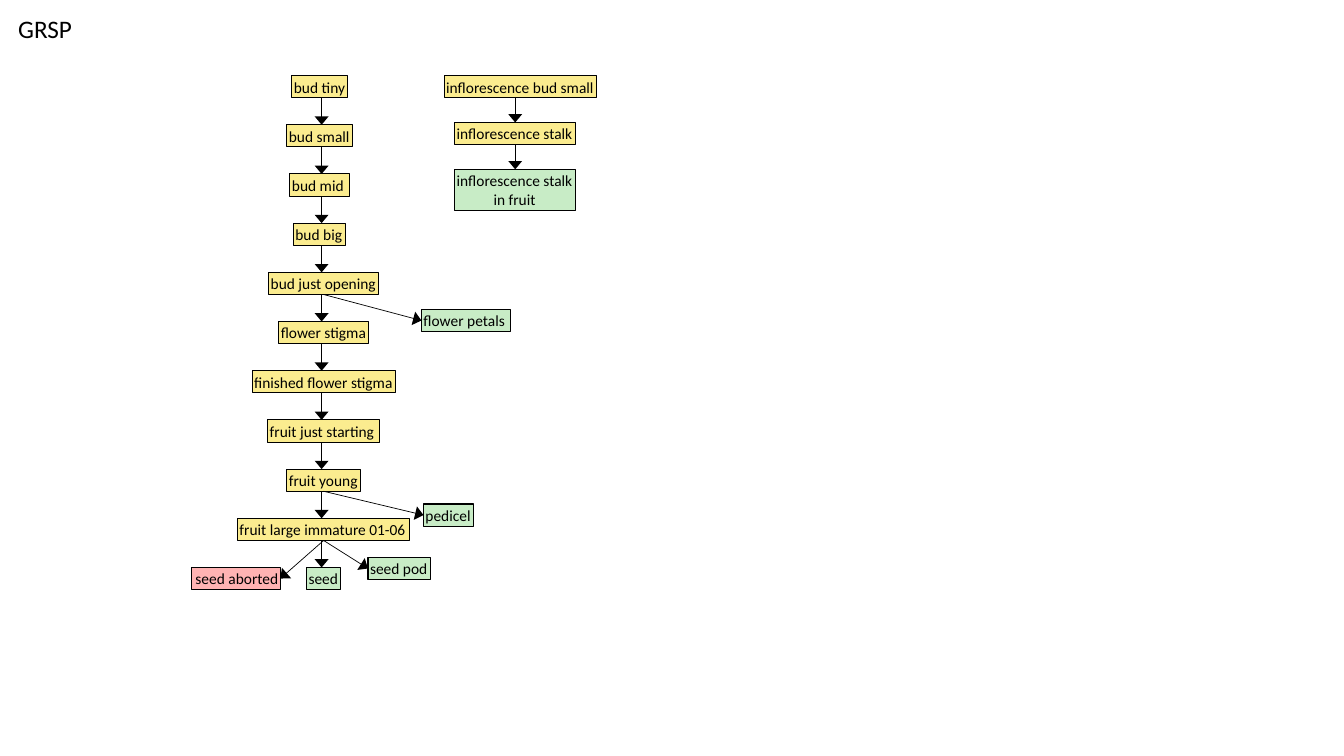
from itertools import pairwise
from lxml.etree import SubElement
from pptx import Presentation
from pptx.dml.color import RGBColor
from pptx.enum.shapes import MSO_CONNECTOR, MSO_SHAPE
from pptx.enum.text import MSO_ANCHOR, MSO_AUTO_SIZE, PP_ALIGN
from pptx.oxml.ns import qn
from pptx.util import Inches, Pt

FONT = "Calibri"
BLACK, YELLOW, GREEN, RED = "000000", "FBEC8F", "C8ECC6", "FFB3B3"
TOP, BOX_HEIGHT = 0.75, 0.22
STAGE_PITCH, STALK_PITCH = 0.488, 0.465
STAGE_AXIS, BRANCH_START, STALK_AXIS = 3.19, 3.21, 5.11
BUD_CENTRE, FLOWER_CENTRE = 3.17, 3.21

STAGES = [
    ("bud tiny", BUD_CENTRE, 0.55, YELLOW),
    ("bud small", BUD_CENTRE, 0.65, YELLOW),
    ("bud mid", BUD_CENTRE, 0.59, YELLOW),
    ("bud big", BUD_CENTRE, 0.52, YELLOW),
    ("bud just opening", FLOWER_CENTRE, 1.09, YELLOW),
    ("flower stigma", FLOWER_CENTRE, 0.89, YELLOW),
    ("finished flower stigma", FLOWER_CENTRE, 1.42, YELLOW),
    ("fruit just starting", FLOWER_CENTRE, 1.11, YELLOW),
    ("fruit young", FLOWER_CENTRE, 0.73, YELLOW),
    ("fruit large immature 01-06", FLOWER_CENTRE, 1.71, YELLOW),
    ("seed", FLOWER_CENTRE, 0.34, GREEN),
]
STALKS = [
    ("inflorescence bud small", 5.16, 1.51, YELLOW),
    ("inflorescence stalk", STALK_AXIS, 1.2, YELLOW),
    ("inflorescence stalk\nin fruit", STALK_AXIS, 1.2, GREEN),
]
BRANCHES = [
    (4, "flower petals", 4.18, 3.07, 0.88, GREEN),
    (8, "pedicel", 4.2, 5, 0.5, GREEN),
    (9, "seed pod", 3.65, 5.53, 0.62, GREEN),
    (9, "seed aborted", 1.9, 5.63, 0.88, RED),
]


def colour(code):
    return RGBColor.from_string(code)


def format_text(frame, size):
    for para in frame.paragraphs:
        for span in para.runs:
            span.font.name = FONT
            span.font.size = Pt(size)
            span.font.color.rgb = colour(BLACK)


def add_title(page, text):
    title = page.shapes.title
    title.left, title.top = Inches(0.08), Inches(0.08)
    title.width, title.height = Inches(0.74), Inches(0.4)
    frame = title.text_frame
    frame.text = text
    frame.word_wrap = False
    frame.auto_size = MSO_AUTO_SIZE.SHAPE_TO_FIT_TEXT
    frame.vertical_anchor = MSO_ANCHOR.TOP
    frame.paragraphs[0].alignment = PP_ALIGN.LEFT
    format_text(frame, 18)


def add_box(page, text, left, top, width, fill):
    lines = text.split("\n")
    height = BOX_HEIGHT + 0.19 * (len(lines) - 1)
    box = page.shapes.add_shape(
        MSO_SHAPE.RECTANGLE, Inches(left), Inches(top), Inches(width), Inches(height))
    box.shadow.inherit = False
    box.fill.solid()
    box.fill.fore_color.rgb = colour(fill)
    box.line.color.rgb = colour(BLACK)
    box.line.width = Pt(0.75)
    frame = box.text_frame
    frame.text = text
    frame.word_wrap = False
    frame.auto_size = MSO_AUTO_SIZE.SHAPE_TO_FIT_TEXT
    frame.vertical_anchor = MSO_ANCHOR.TOP
    frame.margin_left = frame.margin_top = frame.margin_bottom = Inches(0.02)
    frame.margin_right = 0
    for para in frame.paragraphs:
        para.alignment = PP_ALIGN.LEFT
    if len(lines) > 1 or fill == RED:
        frame.paragraphs[-1].alignment = PP_ALIGN.CENTER
    format_text(frame, 11)


def add_arrow(page, start, end):
    arrow = page.shapes.add_connector(
        MSO_CONNECTOR.STRAIGHT, *[Inches(value) for value in (*start, *end)])
    arrow.line.color.rgb = colour(BLACK)
    arrow.line.width = Pt(0.5)
    SubElement(arrow.line._get_or_add_ln(), qn("a:tailEnd"), type="triangle", w="lg", len="med")
    SubElement(arrow._element.spPr, qn("a:effectLst"))


def add_chain(page, steps, axis, pitch):
    tops = [TOP + pitch * row for row in range(len(steps))]
    for (text, centre, width, fill), top in zip(steps, tops):
        add_box(page, text, centre - width / 2, top, width, fill)
    for upper, lower in pairwise(tops):
        add_arrow(page, (axis, upper + BOX_HEIGHT), (axis, lower))


def add_branch(page, row, text, left, top, width, fill):
    add_box(page, text, left, top, width, fill)
    start = (BRANCH_START, TOP + STAGE_PITCH * row + BOX_HEIGHT)
    side = left if left > BRANCH_START else left + width
    add_arrow(page, start, (side, top + BOX_HEIGHT / 2))


def main():
    deck = Presentation()
    deck.slide_width, deck.slide_height = Inches(13.33), Inches(7.5)
    page = deck.slides.add_slide(deck.slide_layouts[5])
    add_title(page, "GRSP")
    add_chain(page, STAGES, STAGE_AXIS, STAGE_PITCH)
    add_chain(page, STALKS, STALK_AXIS, STALK_PITCH)
    for branch in BRANCHES:
        add_branch(page, *branch)
    deck.save("out.pptx")


if __name__ == "__main__":
    main()
